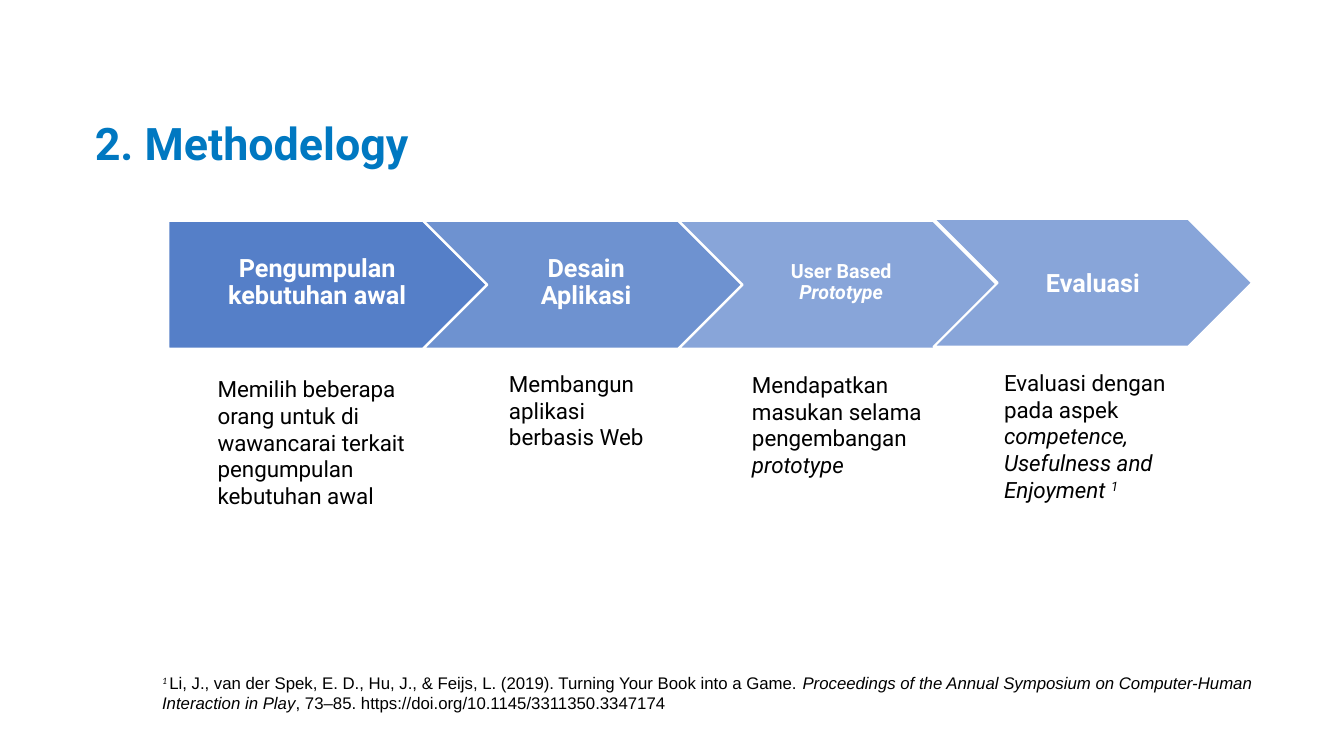
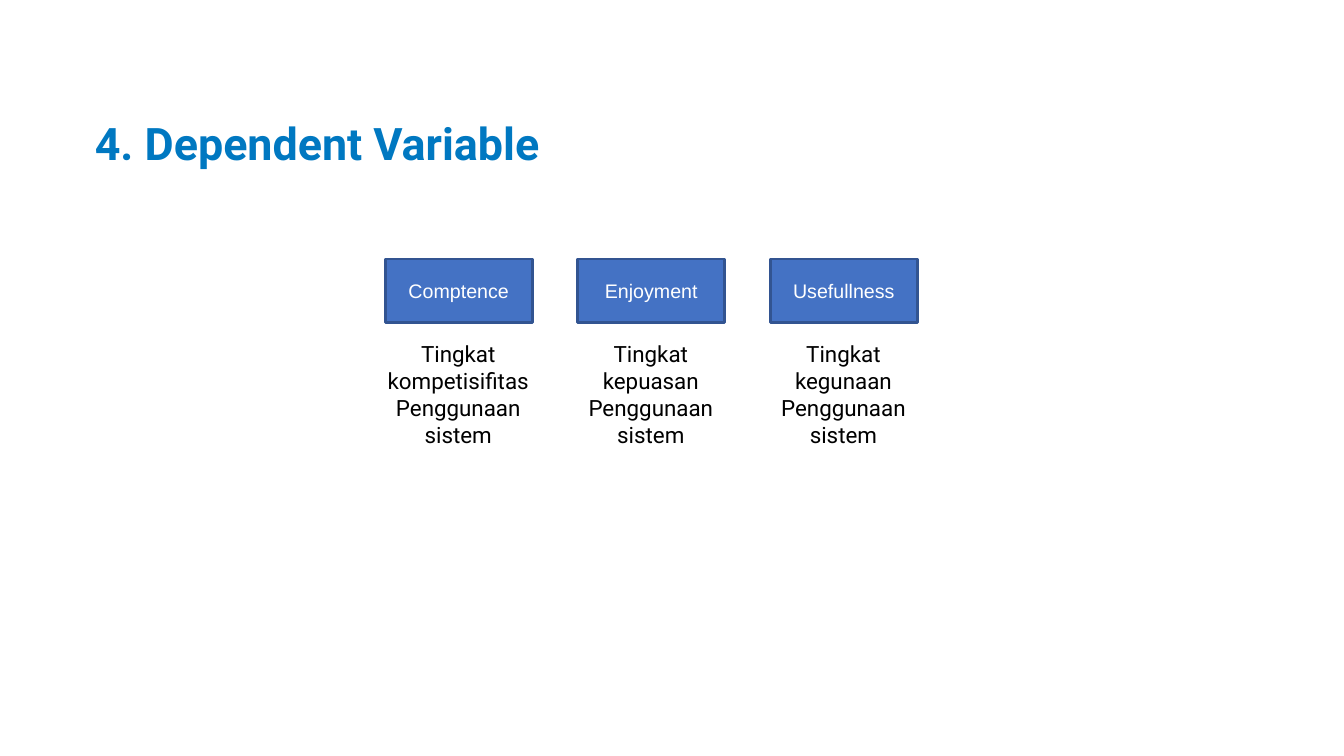
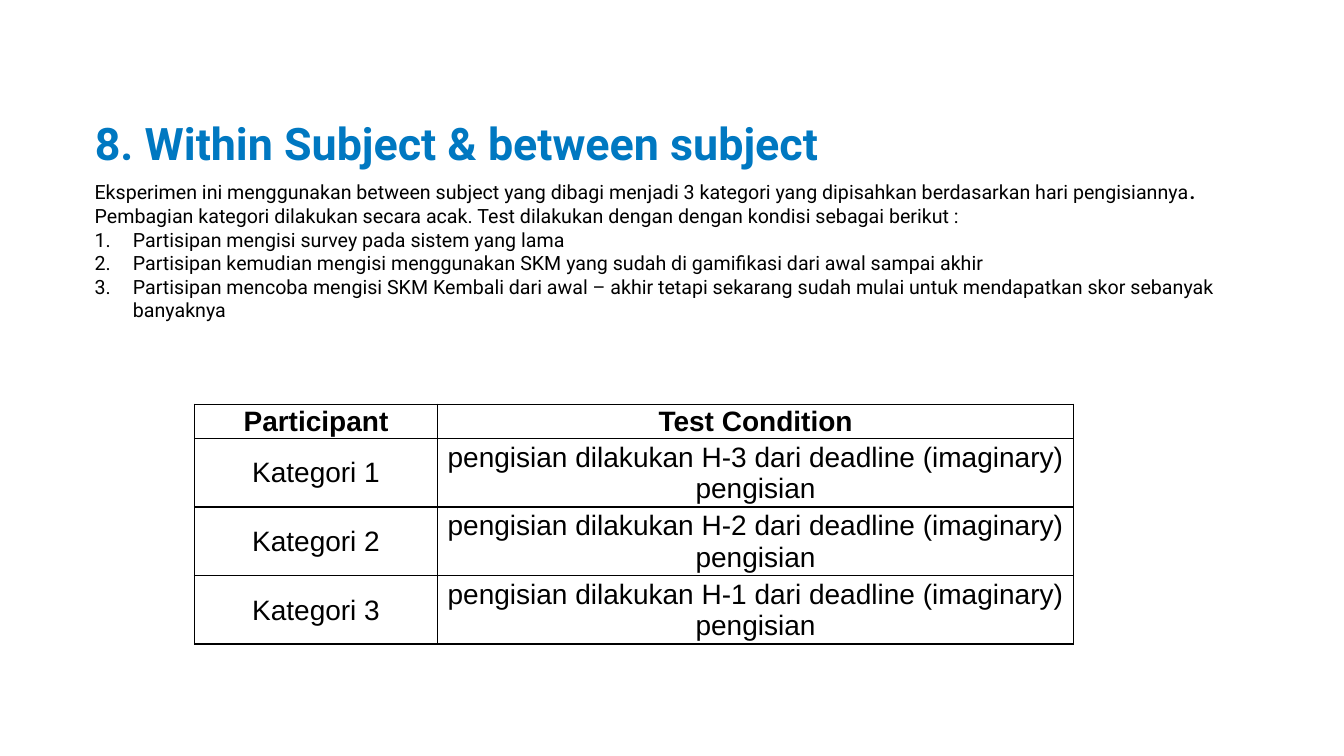
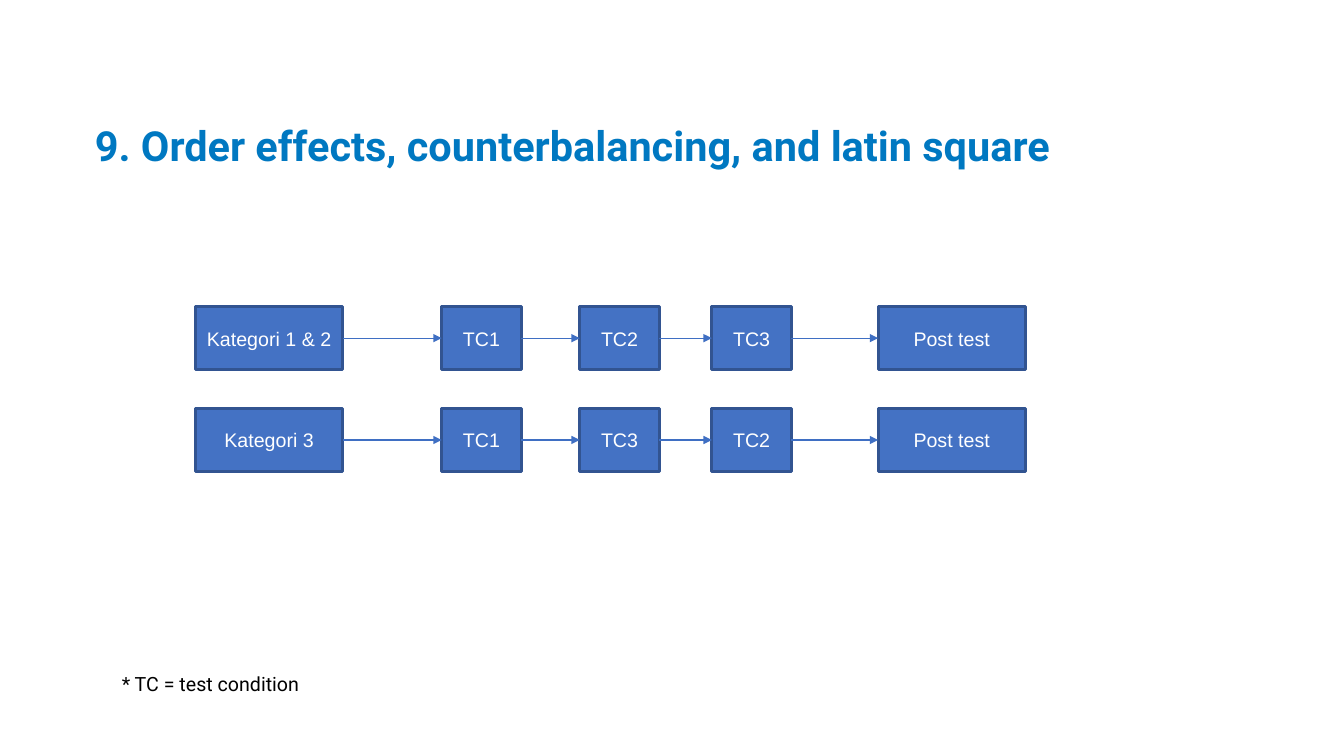
"""Builds four slides on method, variables, test conditions and test order."""
from itertools import pairwise

from lxml.etree import SubElement
from pptx import Presentation
from pptx.dml.color import RGBColor
from pptx.enum.shapes import MSO_CONNECTOR, MSO_SHAPE
from pptx.enum.text import MSO_ANCHOR, MSO_AUTO_SIZE, PP_ALIGN
from pptx.oxml.ns import qn
from pptx.util import Inches, Pt

COLORS = {
    "title": "0078C1", "text": "000000", "white": "FFFFFF", "step": "4372C3",
    "box": "4472C4", "box_line": "325491", "arrow": "3F6FC3",
}
INSETS = (0.1, 0.05, 0.1, 0.05)


def color(name):
    return RGBColor.from_string(COLORS[name])


class SlideBuilder:
    def __init__(self):
        self.deck = Presentation()
        self.deck.slide_width = Inches(13.33)
        self.deck.slide_height = Inches(7.5)
        self.page = None

    def fill_frame(self, frame, paragraphs, size, font="Roboto", ink="text", bold=False,
                   align=PP_ALIGN.LEFT, anchor=MSO_ANCHOR.TOP, insets=INSETS, spacing=None):
        frame.word_wrap = True
        frame.auto_size = MSO_AUTO_SIZE.NONE
        frame.vertical_anchor = anchor
        (frame.margin_left, frame.margin_top,
         frame.margin_right, frame.margin_bottom) = map(Inches, insets)
        for index, spans in enumerate(paragraphs):
            para = frame.add_paragraph() if index else frame.paragraphs[0]
            para.alignment = align
            if spacing:
                para.line_spacing = spacing
            for text, *marks in spans:
                span = para.add_run()
                span.text = text
                span.font.name = font
                span.font.size = Pt(size)
                span.font.color.rgb = color(ink)
                span.font.bold = bold or "bold" in marks
                span.font.italic = "italic" in marks
                if "super" in marks:
                    span._r.get_or_add_rPr().set("baseline", "30000")

    def start(self, title, size=32):
        self.page = self.deck.slides.add_slide(self.deck.slide_layouts[5])
        box = self.page.shapes.title
        box.left, box.top, box.width, box.height = map(Inches, (0.84, 1.11, 10, 0.63))
        self.fill_frame(box.text_frame, [[(title,)]], size, ink="title", bold=True,
                        anchor=MSO_ANCHOR.BOTTOM, spacing=0.9)

    def text(self, place, paragraphs, size=16, **style):
        box = self.page.shapes.add_textbox(*map(Inches, place))
        self.fill_frame(box.text_frame, paragraphs, size, **style)
        return box

    def shape(self, preset, place, fill, line, weight):
        shape = self.page.shapes.add_shape(preset, *map(Inches, place))
        shape.shadow.inherit = False
        shape.fill.solid()
        shape.fill.fore_color.rgb = color(fill)
        shape.line.color.rgb = color(line)
        shape.line.width = Pt(weight)
        return shape

    def box(self, left, top, width, label):
        box = self.shape(MSO_SHAPE.RECTANGLE, (left, top, width, 0.63), "box", "box_line", 2)
        self.fill_frame(box.text_frame, [[(label,)]], 14, font="Arial", ink="white",
                        align=PP_ALIGN.CENTER, anchor=MSO_ANCHOR.MIDDLE)
        return box

    def step(self, preset, left, top, opacity, paragraphs, size, insets, spacing):
        step = self.shape(preset, (left, top, 3.16, 1.27), "step", "white", 1.5)
        tint = step._element.spPr.find(qn("a:solidFill"))[0]
        SubElement(tint, qn("a:alpha"), val=str(opacity * 1000))
        self.fill_frame(step.text_frame, paragraphs, size, ink="white", bold=True,
                        align=PP_ALIGN.CENTER, anchor=MSO_ANCHOR.MIDDLE,
                        insets=insets, spacing=spacing)

    def arrow(self, source, target):
        arrow = self.page.shapes.add_connector(MSO_CONNECTOR.STRAIGHT, 0, 0, 0, 0)
        arrow.begin_connect(source, 3)
        arrow.end_connect(target, 1)
        arrow.line.color.rgb = color("arrow")
        arrow.line.width = Pt(0.75)
        properties = arrow._element.spPr
        SubElement(properties.find(qn("a:ln")), qn("a:tailEnd"), type="triangle")
        SubElement(properties, qn("a:effectLst"))

    def number(self, para):
        properties = para._p.get_or_add_pPr()
        properties.set("marL", str(Inches(0.38)))
        properties.set("indent", str(-Inches(0.38)))
        SubElement(properties, qn("a:buAutoNum"), type="arabicPeriod")

    def table(self, left, top, widths, heights, rows):
        frame = self.page.shapes.add_table(
            len(rows), len(widths), Inches(left), Inches(top),
            Inches(sum(widths)), Inches(sum(heights)))
        table = frame.table
        table.first_row = table.horz_banding = False
        for column, width in zip(table.columns, widths):
            column.width = Inches(width)
        for index, (height, labels) in enumerate(zip(heights, rows)):
            table.rows[index].height = Inches(height)
            for cell, label in zip(table.rows[index].cells, labels):
                self.cell(cell, label, bold=index == 0)

    def cell(self, cell, label, bold):
        self.fill_frame(cell.text_frame, [[(label,)]], 20, font="Arial", bold=bold,
                        align=PP_ALIGN.CENTER)
        cell.vertical_anchor = MSO_ANCHOR.MIDDLE
        cell.margin_left = cell.margin_right = cell.margin_top = Inches(0.01)
        cell.margin_bottom = 0
        properties = cell._tc.get_or_add_tcPr()
        for side in ("lnL", "lnR", "lnT", "lnB"):
            border = SubElement(properties, qn(f"a:{side}"), w=str(Pt(1)))
            SubElement(SubElement(border, qn("a:solidFill")), qn("a:srgbClr"),
                       val=COLORS["text"])
        cell.fill.background()


def methodology(slide):
    slide.start("2. Methodelogy")
    middle = (0.1, 0.07, 0.03, 0.11)
    steps = [
        (2.19, 90, [[("Pengumpulan kebutuhan awal",)]], 18, (0.14, 0.07, 0.03, 0.11), 0.9),
        (2.19, 77, [[("Desain",)], [("Aplikasi",)]], 18, middle, 0.9),
        (2.19, 63, [[("User Based",)], [("Prototype", "italic")]], 14, middle, 0.9),
        (2.17, 63, [[("Evaluasi",)]], 18, (0.1, 0.1, 0.1, 0.1), None),
    ]
    for index, step in enumerate(steps):
        preset = MSO_SHAPE.CHEVRON if index else MSO_SHAPE.PENTAGON
        slide.step(preset, 1.67 + 2.53 * index, *step)
    details = [
        ((2.06, 3.67, 2.14, 1.45),
         [("Memilih beberapa orang untuk di wawancarai terkait pengumpulan kebutuhan awal",)]),
        ((4.95, 3.62, 1.66, 0.91), [("Membangun aplikasi berbasis Web",)]),
        ((7.36, 3.63, 1.95, 1.18),
         [("Mendapatkan masukan selama pengembangan ",), ("prototype", "italic")]),
        ((9.86, 3.61, 1.81, 1.72),
         [("Evaluasi dengan pada aspek ",),
          ("competence, Usefulness and Enjoyment ", "italic"), ("1", "italic", "super")]),
    ]
    for place, spans in details:
        slide.text(place, [spans])
    note = slide.text((1.51, 6.62, 11.13, 0.71), [[
        ("1 ", "italic", "super"),
        ("Li, J., van der Spek, E. D., Hu, J., & Feijs, L. (2019). "
         "Turning Your Book into a Game. ",),
        ("Proceedings of the Annual Symposium on Computer-Human Interaction in Play", "italic"),
        (", 73–85. https://doi.org/10.1145/3311350.3347174",),
    ]], 12, font="Arial")
    note.text_frame.paragraphs[0].runs[0].font.name = "Calibri"


def dependent_variable(slide):
    slide.start("4. Dependent Variable")
    variables = [
        ("Comptence", ["Tingkat kompetisifitas", "Penggunaan sistem"]),
        ("Enjoyment", ["Tingkat kepuasan Penggunaan sistem"]),
        ("Usefullness", ["Tingkat kegunaan Penggunaan sistem"]),
    ]
    for index, (name, lines) in enumerate(variables):
        left = 3.82 + 1.91 * index
        slide.box(left, 2.57, 1.46, name)
        slide.text((left - 0.12, 3.33, 1.69, 1.18), [[(line,)] for line in lines],
                   align=PP_ALIGN.CENTER)


def test_conditions(slide):
    slide.start("8. Within Subject & between subject")
    box = slide.text((0.84, 1.74, 11.9, 1.51), [
        [("Eksperimen ini menggunakan between subject yang dibagi menjadi 3 kategori "
          "yang dipisahkan berdasarkan hari pengisiannya",), (". ", "bold"),
         ("Pembagian kategori dilakukan secara acak. "
          "Test dilakukan dengan dengan kondisi sebagai berikut :",)],
        [("Partisipan mengisi survey pada sistem yang lama",)],
        [("Partisipan kemudian mengisi menggunakan SKM yang sudah di gamifikasi "
          "dari awal sampai akhir",)],
        [("Partisipan mencoba mengisi SKM Kembali dari awal – akhir tetapi sekarang "
          "sudah mulai untuk mendapatkan skor sebanyak banyaknya",)],
    ], 14)
    for para in box.text_frame.paragraphs[1:]:
        slide.number(para)
    rows = [("Participant", "Test Condition")]
    rows += [(f"Kategori {number}",
              f"pengisian dilakukan H-{4 - number} dari deadline (imaginary) pengisian")
             for number in (1, 2, 3)]
    slide.table(1.93, 4.01, (2.41, 6.31), (0.34, 0.68, 0.68, 0.68), rows)


def test_order(slide):
    slide.start("9. Order effects, counterbalancing, and latin square", 29.6)
    columns = [(1.94, 1.46), (4.38, 0.79), (5.75, 0.79), (7.06, 0.79), (8.71, 1.46)]
    sequences = [
        (3.04, ("Kategori 1 & 2", "TC1", "TC2", "TC3", "Post test")),
        (4.05, ("Kategori 3", "TC1", "TC3", "TC2", "Post test")),
    ]
    for top, labels in sequences:
        boxes = [slide.box(left, top, width, label)
                 for (left, width), label in zip(columns, labels)]
        for source, target in pairwise(boxes):
            slide.arrow(source, target)
    slide.text((1.11, 6.62, 11.9, 0.34), [[("* TC = test condition",)]], 14)


def main():
    slide = SlideBuilder()
    for build in (methodology, dependent_variable, test_conditions, test_order):
        build(slide)
    slide.deck.save("out.pptx")


if __name__ == "__main__":
    main()
